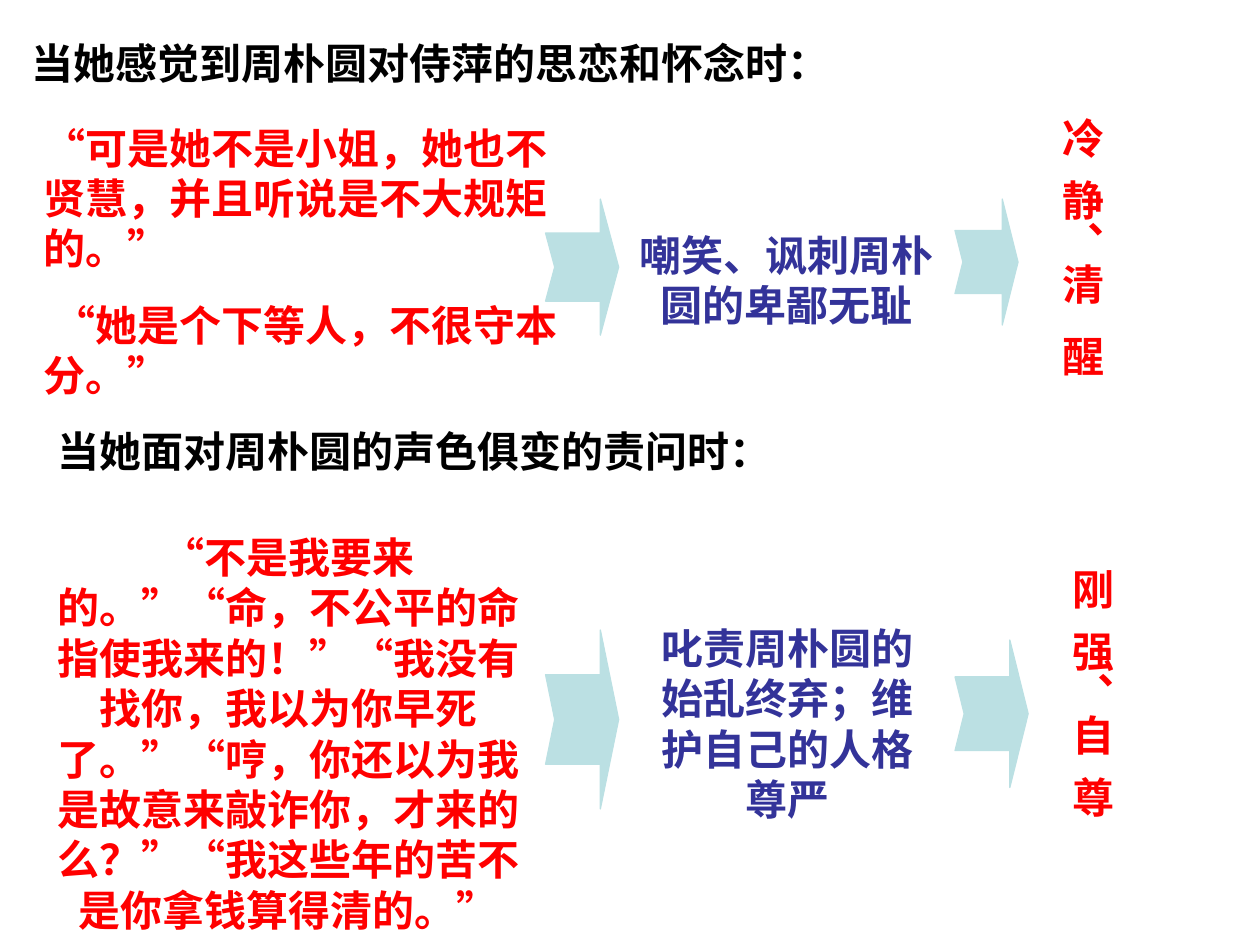
from pptx import Presentation
from pptx.dml.color import RGBColor
from pptx.enum.shapes import MSO_SHAPE as Preset
from pptx.enum.text import MSO_AUTO_SIZE as AutoSize, PP_ALIGN as Align
from pptx.util import Inches, Pt

BLACK = RGBColor(0x00, 0x00, 0x00)
RED = RGBColor(0xFF, 0x00, 0x00)
INDIGO = RGBColor(0x33, 0x33, 0x99)
PALE_TEAL = RGBColor(0xBB, 0xE0, 0xE3)


class SlideBuilder:
    font_name = "Times New Roman"
    font_size = Pt(24)
    paragraph_gap = Pt(15)

    def __init__(self, slide):
        self.slide = slide

    def add_run(self, paragraph, text, color):
        run = paragraph.add_run()
        run.text = text
        run.font.name = self.font_name
        run.font.size = self.font_size
        run.font.bold = True
        run.font.color.rgb = color
        return run

    def add_frame(self, box, margin_x, margin_y):
        """Add an empty text box that wraps and grows; return its frame."""
        frame = self.slide.shapes.add_textbox(*map(Inches, box)).text_frame
        frame.word_wrap = True
        frame.auto_size = AutoSize.SHAPE_TO_FIT_TEXT
        frame.margin_left = frame.margin_right = Inches(margin_x)
        frame.margin_top = frame.margin_bottom = Inches(margin_y)
        return frame

    def text(self, box, paragraphs, color, align=Align.CENTER):
        """Add horizontal text; paragraphs are (text, first line indent)."""
        frame = self.add_frame(box, 0.1, 0.05)
        for index, (text, indent) in enumerate(paragraphs):
            if index == 0:
                paragraph = frame.paragraphs[0]
            else:
                paragraph = frame.add_paragraph()
                paragraph.space_before = self.paragraph_gap
            paragraph.alignment = align
            properties = paragraph._p.get_or_add_pPr()
            properties.set("hangingPunct", "0")
            if indent:
                properties.set("marL", "0")
                properties.set("indent", str(Inches(indent)))
            self.add_run(paragraph, text, color)

    def vertical_text(self, box, pieces, color):
        """Add top-to-bottom text; a number among the pieces widens a space."""
        frame = self.add_frame(box, 0.05, 0.1)
        frame._txBody.bodyPr.set("vert", "eaVert")
        paragraph = frame.paragraphs[0]
        paragraph.alignment = Align.CENTER
        for piece in pieces:
            if isinstance(piece, str):
                self.add_run(paragraph, piece, color)
            else:
                space = self.add_run(paragraph, " ", color)
                space.font._element.set("spc", str(piece * 100))

    def arrow(self, box):
        shape = self.slide.shapes.add_shape(
            Preset.NOTCHED_RIGHT_ARROW, *map(Inches, box))
        shape.adjustments[0] = 0.5
        shape.adjustments[1] = 0.25
        shape.shadow.inherit = False
        shape.fill.solid()
        shape.fill.fore_color.rgb = PALE_TEAL
        shape.line.color.rgb = PALE_TEAL
        shape.line.width = Pt(0.75)


def main():
    presentation = Presentation()
    presentation.slide_width = Inches(10)
    presentation.slide_height = Inches(7.5)
    slide = presentation.slides.add_slide(presentation.slide_layouts[6])
    builder = SlideBuilder(slide)

    # Her response to Zhou's nostalgia
    builder.text((0, 0.25, 6.83, 0.5),
                 [("当她感觉到周朴圆对侍萍的思恋和怀念时：", 0)], BLACK)
    builder.text((0.25, 0.92, 4.33, 2.31),
                 [("“可是她不是小姐，她也不贤慧，并且听说是不大规矩的。”", 0),
                  ("“她是个下等人，不很守本分。”", 0.08)], RED, Align.LEFT)
    builder.text((4.83, 1.77, 2.83, 0.9),
                 [("嘲笑、讽刺周朴圆的卑鄙无耻", 0)], INDIGO)
    builder.arrow((4.33, 1.58, 0.58, 1.08))
    builder.arrow((7.58, 1.58, 0.5, 1))
    builder.vertical_text((8.24, 0.83, 0.6, 2.42),
                          ["冷", 6, "静、清", 12, "醒"], RED)

    # Her response to Zhou's questioning
    builder.text((0.33, 3.33, 5.92, 0.5),
                 [("当她面对周朴圆的声色俱变的责问时：", 0)], BLACK)
    builder.text((0.33, 4.17, 3.92, 3.3),
                 [("“不是我要来的。”“命，不公平的命指使我来的！”"
                   "“我没有找你，我以为你早死了。”"
                   "“哼，你还以为我是故意来敲诈你，才来的么？”"
                   "“我这些年的苦不是你拿钱算得清的。”", 0)], RED)
    builder.arrow((4.33, 5, 0.58, 1.42))
    builder.text((5, 4.89, 2.5, 1.7),
                 [("叱责周朴圆的始乱终弃；维护自己的人格尊严", 0)], INDIGO)
    builder.arrow((7.58, 5.08, 0.58, 1.17))
    builder.vertical_text((8.32, 4.41, 0.6, 2.33),
                          ["刚", 6, "强、自", 6, "尊"], RED)

    presentation.save("out.pptx")


if __name__ == "__main__":
    main()
